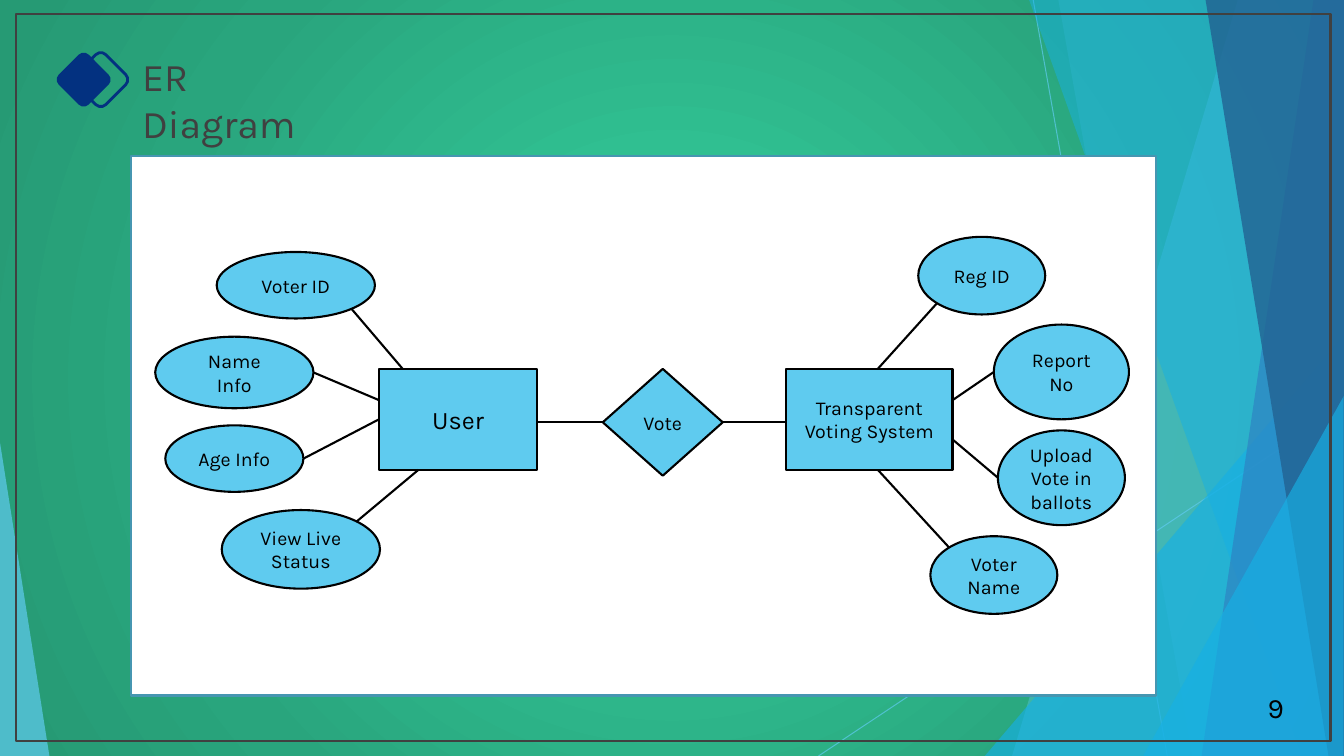
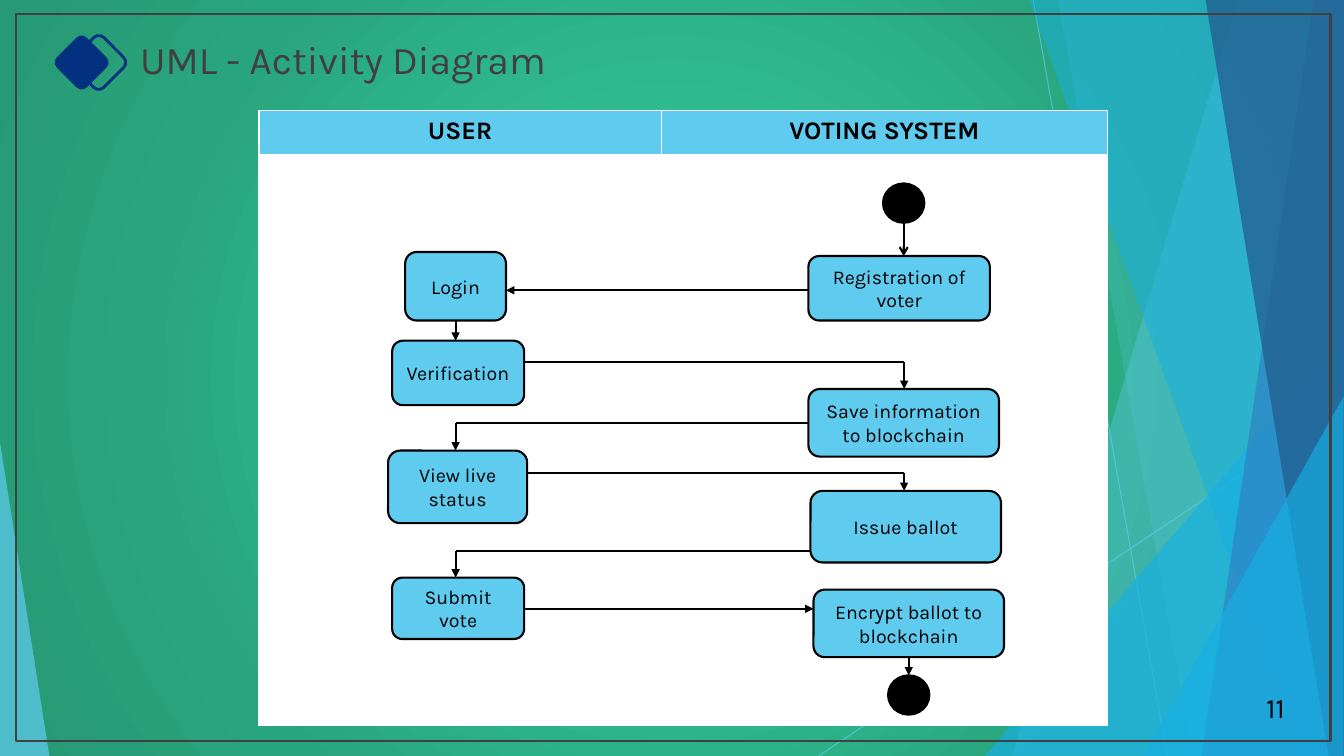
from dataclasses import dataclass

from lxml import etree
from pptx import Presentation
from pptx.dml.color import RGBColor
from pptx.enum.shapes import MSO_CONNECTOR, MSO_SHAPE
from pptx.enum.text import MSO_ANCHOR, MSO_AUTO_SIZE, PP_ALIGN
from pptx.oxml import parse_xml
from pptx.oxml.ns import nsdecls, qn
from pptx.util import Inches, Pt

RECT, ROUND = MSO_SHAPE.RECTANGLE, MSO_SHAPE.ROUNDED_RECTANGLE
OVAL, DIAMOND = MSO_SHAPE.OVAL, MSO_SHAPE.DIAMOND
TRIANGLE, STRAIGHT = MSO_SHAPE.ISOSCELES_TRIANGLE, MSO_CONNECTOR.STRAIGHT
CENTER, LEFT = PP_ALIGN.CENTER, PP_ALIGN.LEFT
MIDDLE, TOP = MSO_ANCHOR.MIDDLE, MSO_ANCHOR.TOP
NO_AUTOFIT = MSO_AUTO_SIZE.NONE
W, H = 13.333, 7.5


@dataclass(frozen=True)
class Theme:
    font: str = "Karla"
    ink: str = "000000"
    gray: str = "404040"
    white: str = "FFFFFF"
    sky: str = "5FCBEF"
    azure: str = "17B0E4"
    blue: str = "2E83C3"
    deep: str = "226292"
    navy: str = "033180"
    panel_edge: str = "4696B1"
    backdrop: tuple = ((0, "31C394"), (23, "31C394"), (69, "29A57D"), (97, "269A74"))
    title: int = 28
    number: int = 20
    heading: int = 18
    label: int = 14
    stroke: float = 1.5


T = Theme()

# Decoration: rays as (from, to); bands as (top x, bottom x, colour, opacity);
# wedges as (box, apex share, colour, opacity)
RAYS = [((10.25, 0), (11.58, H)), ((W, 4.03), (8.12, H))]
BACK_BANDS = [(12.28, 10.04, T.sky, 36), (10.5, 11.83, T.sky, 20)]
FRONT_BANDS = [(10.21, 12.91, T.azure, 50), (13.03, 11.92, T.blue, 70),
               (11.96, 13.18, T.deep, 80)]
BACK_WEDGES = [((9.77, 3.33, 3.56, 4.17), 1, T.azure, 66)]
FRONT_WEDGES = [((11.34, 3.93, 1.99, 3.57), 1, T.azure, 66),
                ((0, 4.39, 0.49, 3.11), 0, T.sky, 70)]
FRAME = (0.16, 0.14, 13.04, 7.21)
NUMBER_BOX = (12.26, 6.82, 0.79, 0.4)

# ER diagram
ER_PANEL = (1.3, 1.55, 10.17, 5.35)
ER_NODES = {
    "User": (RECT, (3.76, 3.66, 1.57, 1)),
    "Voter ID": (OVAL, (2.15, 2.5, 1.57, 0.66)),
    "Name Info": (OVAL, (1.54, 3.34, 1.57, 0.71)),
    "Age Info": (OVAL, (1.64, 4.22, 1.37, 0.66)),
    "View Live Status": (OVAL, (2.2, 5.06, 1.57, 0.78)),
    "Vote": (DIAMOND, (5.98, 3.66, 1.19, 1.06)),
    "Transparent Voting System": (RECT, (7.8, 3.66, 1.65, 1)),
    "Reg ID": (OVAL, (9.11, 2.35, 1.26, 0.77)),
    "Report No": (OVAL, (9.86, 3.22, 1.34, 0.94)),
    "Upload Vote in ballots": (OVAL, (9.9, 4.27, 1.26, 0.94)),
    "Voter Name": (OVAL, (9.23, 5.32, 1.26, 0.77)),
}
NEAR, FAR = 0.15, 0.85  # shares where an oval meets its diagonals
ER_LINKS = [  # node, share of its box, node, share of its box
    ("Voter ID", (FAR, FAR), "User", (NEAR, 0)),
    ("Name Info", (1, 0.5), "User", (0, 0.31)),
    ("Age Info", (1, 0.5), "User", (0, 0.5)),
    ("View Live Status", (FAR, NEAR), "User", (0.25, 1)),
    ("User", (1, 0.53), "Vote", (0, 0.5)),
    ("Vote", (1, 0.5), "Transparent Voting System", (0, 0.53)),
    ("Reg ID", (NEAR, FAR), "Transparent Voting System", (0.55, 0)),
    ("Report No", (0, 0.5), "Transparent Voting System", (1, 0.31)),
    ("Upload Vote in ballots", (0, 0.5), "Transparent Voting System", (1, 0.7)),
    ("Voter Name", (NEAR, NEAR), "Transparent Voting System", (0.55, 1)),
]

# Activity diagram
LANES = [("USER", 3.99), ("VOTING SYSTEM", 4.43)]
LANE_ORIGIN = (2.57, 1.1)
LANE_ROWS = (0.43, 5.67)
LANE_AXES = (4.52, 8.97)
STEPS = {  # name: (lane, box)
    "Login": (0, (4.02, 2.5, 1, 0.68)),
    "Verification": (0, (3.89, 3.38, 1.31, 0.64)),
    "View live status": (0, (3.85, 4.47, 1.38, 0.72)),
    "Submit vote": (0, (3.89, 5.73, 1.31, 0.61)),
    "Registration of voter": (1, (8.02, 2.54, 1.8, 0.64)),
    "Save information to blockchain": (1, (8.02, 3.86, 1.89, 0.67)),
    "Issue ballot": (1, (8.04, 4.87, 1.89, 0.71)),
    "Encrypt ballot to blockchain": (1, (8.07, 5.85, 1.89, 0.67)),
}
TERMINALS = {
    "start": (1, (8.76, 1.82, 0.41, 0.39)),
    "end": (1, (8.81, 6.7, 0.41, 0.39)),
}
FLOWS = [  # from, to, height of the crossing (None within a lane), arrowhead
    ("start", "Registration of voter", None, "arrow"),
    ("Registration of voter", "Login", 2.88, "triangle"),
    ("Login", "Verification", None, "triangle"),
    ("Verification", "Save information to blockchain", 3.59, "triangle"),
    ("Save information to blockchain", "View live status", 4.2, "triangle"),
    ("View live status", "Issue ballot", 4.69, "triangle"),
    ("Issue ballot", "Submit vote", 5.47, "triangle"),
    ("Submit vote", "Encrypt ballot to blockchain", 6.04, "triangle"),
    ("Encrypt ballot to blockchain", "end", None, "triangle"),
]


def rgb(color):
    return RGBColor.from_string(color)


def inches(values):
    return [Inches(v) for v in values]


def set_opacity(sp, percent):
    for color in sp.element.spPr.iter(qn("a:srgbClr")):
        etree.SubElement(color, qn("a:alpha"), val=str(percent * 1000))


def paint(sp, fill=None, line=None, width=T.stroke):
    sp.shadow.inherit = False
    if fill:
        sp.fill.solid()
        sp.fill.fore_color.rgb = rgb(fill)
    else:
        sp.fill.background()
    if line:
        sp.line.color.rgb = rgb(line)
        sp.line.width = Pt(width)
    else:
        sp.line.fill.background()


def write(tf, text, size, color=T.ink, align=CENTER, anchor=MIDDLE, bold=False):
    tf.word_wrap = True
    tf.vertical_anchor = anchor
    p = tf.paragraphs[0]
    p.text = text
    p.alignment = align
    p.font.name = T.font
    p.font.size = Pt(size)
    p.font.bold = bold
    p.font.color.rgb = rgb(color)


def add_box(slide, kind, box, fill=None, line=None, width=T.stroke):
    sp = slide.shapes.add_shape(kind, *inches(box))
    paint(sp, fill, line, width)
    return sp


def add_node(slide, kind, box, text, size=T.label):
    sp = add_box(slide, kind, box, T.sky, T.ink)
    write(sp.text_frame, text, size)


def add_line(slide, start, end, color=T.ink, width=T.stroke, head=None):
    cx = slide.shapes.add_connector(STRAIGHT, *inches((*start, *end)))
    cx.line.color.rgb = rgb(color)
    cx.line.width = Pt(width)
    spPr = cx.element.spPr
    if head:
        etree.SubElement(spPr.find(qn("a:ln")), qn("a:tailEnd"), type=head)
    etree.SubElement(spPr, qn("a:effectLst"))
    return cx


def add_bands(slide, bands):
    for top, bottom, color, opacity in bands:
        corners = [inches(c) for c in ((top, 0), (W, 0), (W, H), (bottom, H))]
        outline = slide.shapes.build_freeform(*corners[0], scale=1.0)
        outline.add_line_segments(corners[1:], close=True)
        sp = outline.convert_to_shape()
        paint(sp, color)
        set_opacity(sp, opacity)


def add_wedges(slide, wedges):
    for box, apex, color, opacity in wedges:
        sp = add_box(slide, TRIANGLE, box, color)
        sp.adjustments[0] = apex
        set_opacity(sp, opacity)


def decorate_layout(layout, slide):
    """Draw the shared decoration on a slide, then move it to the layout."""
    for ph in list(layout.placeholders)[1:]:
        ph.element.getparent().remove(ph.element)
    for start, end in RAYS:
        set_opacity(add_line(slide, start, end, T.sky, 0.75), 70)
    add_bands(slide, BACK_BANDS)
    add_wedges(slide, BACK_WEDGES)
    add_bands(slide, FRONT_BANDS)
    add_wedges(slide, FRONT_WEDGES)
    add_box(slide, RECT, FRAME, line=T.gray)
    for sp in list(slide.shapes):
        if not sp.is_placeholder:
            layout.shapes.element.append(sp.element)
    stops = "".join(f'<a:gs pos="{pos * 1000}"><a:srgbClr val="{color}"/></a:gs>'
                    for pos, color in T.backdrop)
    layout.element.cSld.insert(0, parse_xml(
        f'<p:bg {nsdecls("p", "a")}><p:bgPr><a:gradFill rotWithShape="1">'
        f'<a:gsLst>{stops}</a:gsLst><a:path path="circle">'
        '<a:fillToRect l="50000" t="50000" r="50000" b="50000"/></a:path>'
        '</a:gradFill><a:effectLst/></p:bgPr></p:bg>'))


def add_header(slide, title, left, top, width, number):
    """Place the paired diamonds, the title beside them and the page number."""
    side = 0.42
    diamonds = [(left + 0.17, dict(line=T.navy, width=2)), (left, dict(fill=T.navy))]
    for x, style in diamonds:
        add_box(slide, ROUND, (x, top, side, side), **style).rotation = 45
    sp = slide.shapes.title
    sp.left, sp.top, sp.width, sp.height = inches((left + 0.69, top - 0.11, width, 0.57))
    write(sp.text_frame, title, T.title, T.gray, LEFT, TOP)
    sp.text_frame.auto_size = NO_AUTOFIT
    page = slide.shapes.add_textbox(*inches(NUMBER_BOX))
    write(page.text_frame, number, T.number)


def point_on(box, share):
    left, top, width, height = box
    return left + share[0] * width, top + share[1] * height


def draw_er(slide):
    add_box(slide, RECT, ER_PANEL, T.white, T.panel_edge)
    for name, (kind, box) in ER_NODES.items():
        add_node(slide, kind, box, name, T.heading if name == "User" else T.label)
    for a, a_share, b, b_share in ER_LINKS:
        add_line(slide, point_on(ER_NODES[a][1], a_share),
                 point_on(ER_NODES[b][1], b_share))


def flow_points(source, target, y):
    """Drop straight down within a lane; otherwise cross, then drop if needed."""
    (lane, a), (_, b) = source, target
    if y is None:
        narrow = min(a, b, key=lambda box: box[2])
        x = point_on(narrow, (0.5, 0))[0]
        return [(x, a[1] + a[3]), (x, b[1])]
    start = (point_on(a, (1 - lane, 0))[0], y)
    if y > b[1]:
        return [start, (point_on(b, (lane, 0))[0], y)]
    x = LANE_AXES[1 - lane]
    return [start, (x, y), (x, b[1])]


def draw_activity(slide):
    widths = [width for _, width in LANES]
    table = slide.shapes.add_table(
        len(LANE_ROWS), len(LANES),
        *inches((*LANE_ORIGIN, sum(widths), sum(LANE_ROWS)))).table
    for row, height in zip(table.rows, LANE_ROWS):
        row.height = Inches(height)
    for i, (name, width) in enumerate(LANES):
        table.columns[i].width = Inches(width)
        for row, color in enumerate((T.sky, T.white)):
            fill = table.cell(row, i).fill
            fill.solid()
            fill.fore_color.rgb = rgb(color)
        write(table.cell(0, i).text_frame, name, T.heading, bold=True)
        table.cell(0, i).vertical_anchor = TOP
    for name, (_, box) in STEPS.items():
        add_node(slide, ROUND, box, name)
    for _, box in TERMINALS.values():
        add_box(slide, OVAL, box, T.ink, T.ink)
    stops = {**STEPS, **TERMINALS}
    for source, target, y, head in FLOWS:
        points = flow_points(stops[source], stops[target], y)
        for start, end in zip(points, points[1:]):
            add_line(slide, start, end, head=head if end == points[-1] else None)


SLIDES = [  # title, left and top of the diamonds, title width, number, diagram
    ("ER Diagram", 0.62, 0.58, 2.18, "9", draw_er),
    ("UML - Activity Diagram", 0.6, 0.41, 4.27, "11", draw_activity),
]


def main():
    prs = Presentation()
    prs.slide_width, prs.slide_height = inches((W, H))
    layout = prs.slide_layouts.get_by_name("Title Only")
    for i, (*header, draw) in enumerate(SLIDES):
        slide = prs.slides.add_slide(layout)
        if i == 0:
            decorate_layout(layout, slide)
        add_header(slide, *header)
        draw(slide)
    prs.save("out.pptx")


if __name__ == "__main__":
    main()
